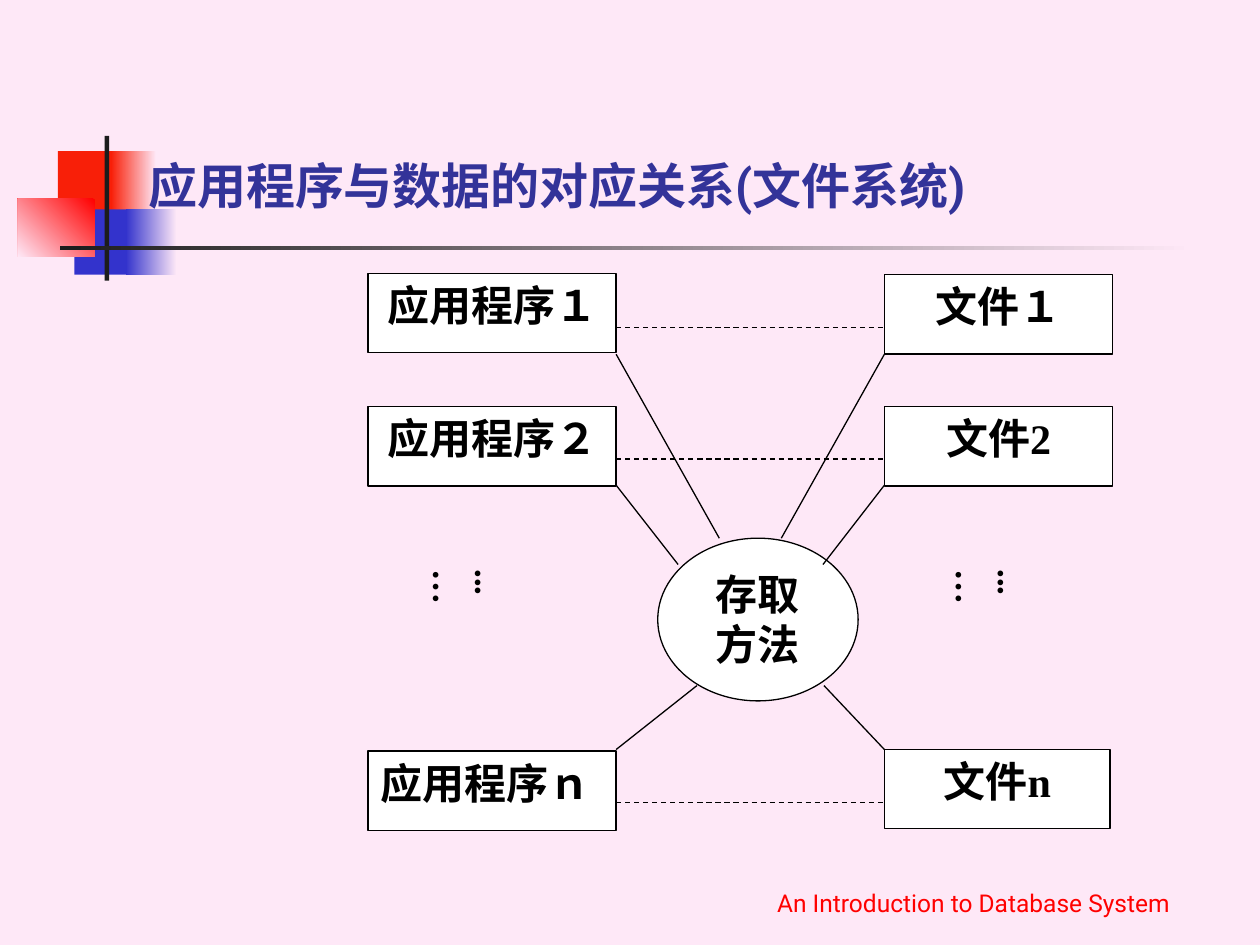
"""Build the slide on how programs relate to data in a file system."""
from lxml import etree
from pptx import Presentation
from pptx import util as u
from pptx.dml.color import RGBColor
from pptx.enum import dml, shapes, text
from pptx.oxml.ns import qn

COLOURS = {
    "page": "FEE8F7", "orange": "F81F08", "blue": "3333CC", "red": "FF0000",
    "dark": "1C1C1C", "title": "333399", "white": "FFFFFF", "black": "000000",
}
ALIGN = text.PP_ALIGN
ANCHOR = text.MSO_ANCHOR


def colour(name):
    """Return the named colour."""
    return RGBColor.from_string(COLOURS[name])


def write(frame, words, size=24, font="Times New Roman", ink="black", bold=True,
          align=ALIGN.CENTER, anchor=ANCHOR.TOP):
    """Put one formatted paragraph into a text frame."""
    frame.word_wrap = True
    frame.vertical_anchor = anchor
    para = frame.paragraphs[0]
    para.alignment = align
    span = para.add_run()
    span.text = words
    span.font.size = u.Pt(size)
    span.font.name = font
    span.font.bold = bold
    span.font.color.rgb = colour(ink)


class Painter:
    """Hold the slide and its line style, and draw each kind of element."""

    line_width = u.Pt(0.75)

    def __init__(self, page):
        """Start on a page with the plain background."""
        self.page = page
        page.background.fill.solid()
        page.background.fill.fore_color.rgb = colour("page")

    def shape(self, kind, place, fill):
        """Add a borderless preset shape with a solid fill."""
        box = self.page.shapes.add_shape(kind, *map(u.Cm, place))
        box.shadow.inherit = False
        box.fill.solid()
        box.fill.fore_color.rgb = colour(fill)
        box.line.fill.background()
        return box

    def block(self, place, fill):
        """Add a solid ornament."""
        return self.shape(shapes.MSO_SHAPE.RECTANGLE, place, fill)

    def fade(self, place, start, end, angle=180):
        """Add an ornament with a two-colour gradient."""
        fill = self.block(place, start).fill
        fill.gradient()
        fill.gradient_angle = angle
        for stop, name in zip(fill.gradient_stops, (start, end)):
            stop.color.rgb = colour(name)

    def node(self, place, words, kind=shapes.MSO_SHAPE.RECTANGLE, **style):
        """Add an outlined white shape with a label."""
        box = self.shape(kind, place, "white")
        box.line.color.rgb = colour("black")
        box.line.width = self.line_width
        write(box.text_frame, words, **style)

    def line(self, start, end, dashed=False):
        """Add a thin straight line."""
        link = self.page.shapes.add_connector(
            shapes.MSO_CONNECTOR.STRAIGHT, *map(u.Cm, start + end))
        link.line.color.rgb = colour("black")
        link.line.width = self.line_width
        if dashed:
            link.line.dash_style = dml.MSO_LINE.DASH
        etree.SubElement(link._element.spPr, qn("a:effectLst"))

    def label(self, place, words, **style):
        """Add a text box and return its frame."""
        frame = self.page.shapes.add_textbox(*map(u.Cm, place)).text_frame
        write(frame, words, **style)
        return frame

    def dots(self, left):
        """Add vertical dots for the omitted rows."""
        frame = self.label((left, 11.23, 1.35, 1.7), "...…", size=20, align=ALIGN.LEFT)
        frame.margin_left = frame.margin_right = u.Cm(0.13)
        frame.margin_top = frame.margin_bottom = u.Cm(0.25)
        frame.auto_size = text.MSO_AUTO_SIZE.SHAPE_TO_FIT_TEXT
        frame._txBody.bodyPr.set("vert", "eaVert")


def main():
    """Draw the slide and save it."""
    deck = Presentation()
    deck.slide_width, deck.slide_height = u.Cm(25.4), u.Cm(19.05)
    painter = Painter(deck.slides.add_slide(deck.slide_layouts[6]))

    painter.block((1.17, 3.05, 1.22, 1.32), "orange")
    painter.fade((2.24, 3.05, 0.91, 1.32), "page", "orange")
    painter.block((1.5, 4.22, 1.17, 1.32), "blue")
    painter.fade((2.54, 4.22, 1.02, 1.32), "page", "blue")
    painter.fade((0.36, 4.01, 1.55, 1.17), "red", "page", angle=225)
    painter.block((2.11, 2.74, 0.09, 2.92), "dark")
    painter.fade((1.22, 4.95, 22.86, 0.09), "page", "dark")
    painter.label((2.74, 1.27, 22.02, 3.18), "应用程序与数据的对应关系(文件系统)", size=28,
                  font="Roboto", ink="title", align=ALIGN.LEFT, anchor=ANCHOR.BOTTOM)

    program_left, program_width, file_left, height = 7.42, 5, 17.83, 1.6
    program_right = program_left + program_width
    rows = [
        ("应用程序１", 5.51, ALIGN.CENTER, "文件１", 5.54, 4.6, 6.6),
        ("应用程序２", 8.2, ALIGN.CENTER, "文件2", 8.2, 4.6, 9.25),
        ("应用程序ｎ", 15.14, ALIGN.JUSTIFY, "文件n", 15.11, 4.55, 16.18),
    ]
    for program, program_top, align, file, file_top, file_width, link_y in rows:
        painter.node((program_left, program_top, program_width, height), program, align=align)
        painter.node((file_left, file_top, file_width, height), file)
        painter.line((program_right, link_y), (file_left, link_y), dashed=True)

    painter.node((13.26, 10.85, 4.04, 3.28), "存取方法", kind=shapes.MSO_SHAPE.OVAL)
    spokes = [
        (7.14, 14.5, 15.75, 10.85),
        (9.78, 13.67, 16.59, 11.38),
        (15.11, 14.05, 16.61, 13.82),
    ]
    for corner_y, program_x, file_x, access_y in spokes:
        painter.line((program_right, corner_y), (program_x, access_y))
        painter.line((file_left, corner_y), (file_x, access_y))

    for left in (9.07, 19.61):
        painter.dots(left)
    painter.label((14.5, 17.35, 10.26, 1.27), "An Introduction to Database System", size=14,
                  font="Roboto", ink="red", bold=False, anchor=ANCHOR.BOTTOM)
    deck.save("out.pptx")


if __name__ == "__main__":
    main()
